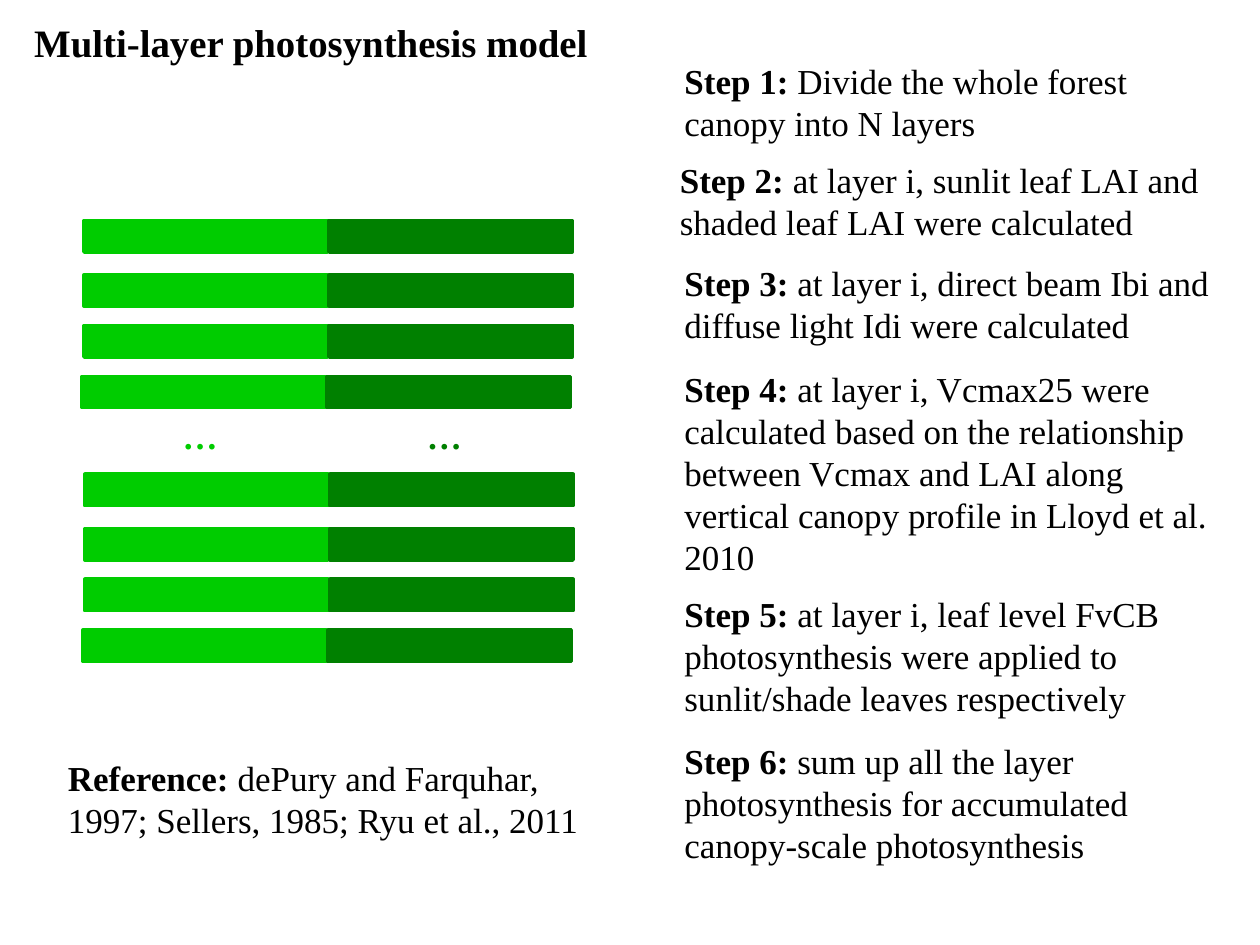
from pptx import Presentation
from pptx.dml.color import RGBColor
from pptx.enum.shapes import MSO_SHAPE
from pptx.enum.text import MSO_ANCHOR, MSO_AUTO_SIZE, PP_ALIGN
from pptx.util import Pt

RECT = MSO_SHAPE.RECTANGLE
MIDDLE = MSO_ANCHOR.MIDDLE
CENTER = PP_ALIGN.CENTER
FIXED = MSO_AUTO_SIZE.NONE
GROW = MSO_AUTO_SIZE.SHAPE_TO_FIT_TEXT

COLORS = {"text": "000000", "sunlit": "00CC00", "shaded": "008000"}


class Deck:
    font = "Times New Roman"
    size = 20

    def __init__(self, width, height):
        self.prs = Presentation()
        self.prs.slide_width = Pt(width)
        self.prs.slide_height = Pt(height)
        self.slide = self.prs.slides.add_slide(self.prs.slide_layouts[5])

    def color(self, name):
        return RGBColor.from_string(COLORS[name])

    def run(self, para, text, bold=False, color="text", size=None):
        run = para.add_run()
        run.text = text
        run.font.name = self.font
        run.font.size = Pt(size or self.size)
        run.font.bold = bold
        run.font.color.rgb = self.color(color)

    def title(self, text, left, top, width, height, size):
        shape = self.slide.shapes.title
        shape.left, shape.top = Pt(left), Pt(top)
        shape.width, shape.height = Pt(width), Pt(height)
        frame = shape.text_frame
        frame.auto_size = FIXED
        frame.vertical_anchor = MIDDLE
        para = frame.paragraphs[0]
        para.alignment = CENTER
        self.run(para, text, True, size=size)

    def box(self, left, top, width, height, wrap=True):
        shape = self.slide.shapes.add_textbox(
            Pt(left), Pt(top), Pt(width), Pt(height))
        frame = shape.text_frame
        frame.word_wrap = wrap
        frame.auto_size = GROW
        return frame.paragraphs[0]

    def note(self, label, text, left, top, height):
        para = self.box(left, top, 324, height)
        self.run(para, label + " ", True)
        self.run(para, text)

    def dots(self, left, top, color):
        para = self.box(left, top, 34.6, 31.5, False)
        self.run(para, "…", True, color)

    def bar(self, left, top, color):
        shape = self.slide.shapes.add_shape(
            RECT, Pt(left), Pt(top), Pt(139), Pt(18))
        shape.shadow.inherit = False
        shape.fill.solid()
        shape.fill.fore_color.rgb = self.color(color)
        shape.line.color.rgb = self.color(color)
        shape.line.width = Pt(2)

    def save(self):
        self.prs.save("out.pptx")


STEPS = [
    (384, 30.3, 55.7, "Divide the whole forest canopy into N layers"),
    (381.4, 87.2, 55.7,
     "at layer i, sunlit leaf LAI and shaded leaf LAI were calculated"),
    (384, 145.8, 55.7,
     "at layer i, direct beam Ibi and diffuse light Idi were calculated"),
    (384, 206.6, 128.3,
     "at layer i, Vcmax25 were calculated based on the relationship between "
     "Vcmax and LAI along vertical canopy profile in Lloyd et al. 2010"),
    (384, 335, 80,
     "at layer i, leaf level FvCB photosynthesis were applied to "
     "sunlit/shade leaves respectively"),
    (384, 419, 80,
     "sum up all the layer photosynthesis for accumulated "
     "canopy-scale photosynthesis"),
]
LAYERS = [(0, 0), (0, 31), (0, 60), (-1, 89)]
STACKS = [(48, 126), (48.5, 271)]
HALVES = [("sunlit", 0, 97.2), ("shaded", 140, 236.9)]


def main():
    deck = Deck(720, 540)
    deck.title("Multi-layer photosynthesis model", 0, 0, 355.7, 48.2, 22.2)
    for color, shift, dots in HALVES:
        for left, top in STACKS:
            for dx, dy in LAYERS:
                deck.bar(left + shift + dx, top + dy, color)
        deck.dots(dots, 233.3, color)
    for num, (left, top, height, text) in enumerate(STEPS, 1):
        deck.note(f"Step {num}:", text, left, top, height)
    deck.note("Reference:",
              "dePury and Farquhar, 1997; Sellers, 1985; Ryu et al., 2011",
              31.7, 429, 55.7)
    deck.save()


if __name__ == "__main__":
    main()
